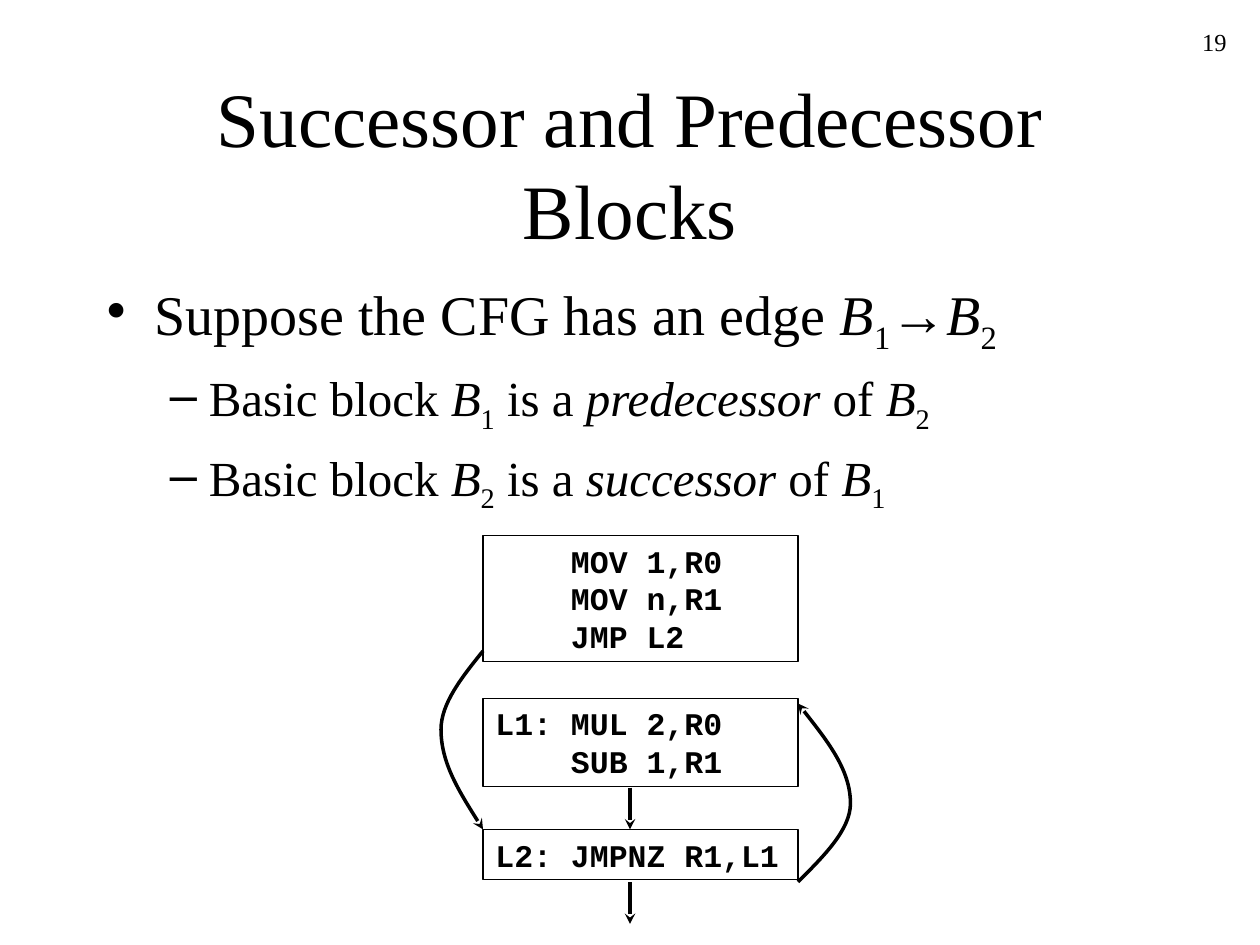
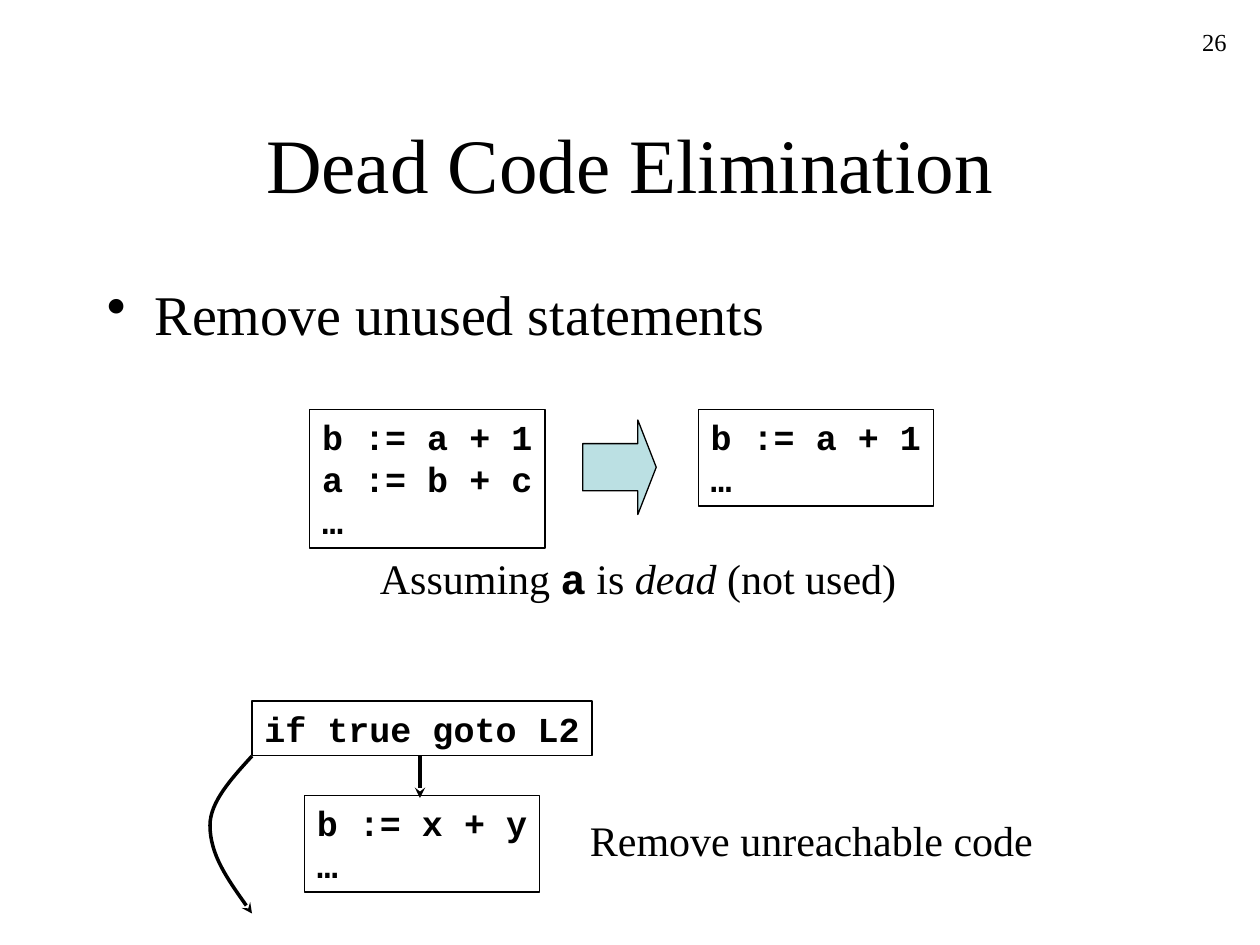
from lxml import etree
from pptx import Presentation
from pptx import util as u
from pptx.dml.color import RGBColor
from pptx.enum import shapes, text
from pptx.oxml.ns import qn

HUES = {"ink": "000000", "paper": "FFFFFF", "block": "BBE0E3"}
SERIF, MONO, SANS = "Times New Roman", "Courier New", "Arial"
LEFT, MID, RIGHT = text.PP_ALIGN.LEFT, text.PP_ALIGN.CENTER, text.PP_ALIGN.RIGHT
BODY = [  # bullet, size, space before, left indent, hanging indent
    ("•", 32, 8, 0.38, 0.38),
    ("–", 28, 7, 0.81, 0.31),
]

deck = Presentation()
deck.slide_width, deck.slide_height = u.Inches(10), u.Inches(7.5)
CELL = deck.slide_width / 240  # the slide is a grid of 240 columns by 180 rows


def grid(*cells):
    return [round(c * CELL) for c in cells]


def say(frame, words, size, font=SERIF, bold=False, align=LEFT, wrap=True,
        anchor=text.MSO_ANCHOR.TOP, mark=None, before=0, left=0, hang=0, line=None):
    """Add one paragraph per line; "|" starts a run and the letter after it
    sets its style: n normal, i italic, s subscript, c code, a arrow."""
    frame.word_wrap, frame.vertical_anchor = wrap, anchor
    frame.auto_size = text.MSO_AUTO_SIZE.NONE
    for row in words.split("\n"):
        par = frame.paragraphs[0] if not frame.text else frame.add_paragraph()
        par.alignment, par.space_before = align, u.Pt(before)
        if line:
            par.line_spacing = u.Pt(line)
        props = par._p.get_or_add_pPr()
        props.set("marL", str(u.Inches(left)))
        props.set("indent", str(-u.Inches(hang)))
        if mark:
            etree.SubElement(props, qn("a:buChar")).set("char", mark)
        for part in ("n" + row).split("|"):
            style = part[0]
            run = par.add_run()
            run.text = part[1:]
            face = run.font
            face.name = {"c": MONO, "a": SANS}.get(style, font)
            face.size, face.bold = u.Pt(size), bold or style == "c"
            face.italic = style == "i"
            face.color.rgb = RGBColor.from_string(HUES["ink"])
            if style == "s":
                run._r.get_or_add_rPr().set("baseline", "-25000")


pages = [
    {
        "num": "19",
        "title": "Successor and Predecessor Blocks",
        "body": [
            (0, "Suppose the CFG has an edge |iB|s1|a→|iB|s2"),
            (1, "Basic block |iB|s1|n is a |ipredecessor|n of |iB|s2"),
            (1, "Basic block |iB|s2|n is a |isuccessor|n of |iB|s1"),
        ],
        "size": 18,
        "code": [  # column, row, width, lines; unlabelled lines are indented
            (92, 102, 60, ["MOV 1,R0", "MOV n,R1", "JMP L2"]),
            (92, 133, 60, ["L1: MUL 2,R0", "SUB 1,R1"]),
            (92, 158, 60, ["L2: JMPNZ R1,L1"]),
        ],
        "label": 0.6,
        "notes": [],
        "bends": [(92, 124, 158, -8), (152, 168, 134, 10)],  # column, rows, bulge
        "drops": [(120, 150), (120, 168)],
    },
    {
        "num": "26",
        "title": "Dead Code Elimination",
        "body": [(0, "Remove unused statements")],
        "size": 20,
        "code": [
            (59, 78, 44.8, ["b := a + 1", "a := b + c", "…"]),
            (133, 78, 44.8, ["b := a + 1", "…"]),
            (58, 151.5, 44.8, ["b := x + y", "…"]),
            (48, 133.5, 64.8, ["if true goto L2"]),
        ],
        "label": 0,
        "notes": [
            (70, 104, 103, "Assuming |ca|n is |idead|n (not used)"),
            (110, 154, 89, "Remove unreachable code"),
        ],
        "bends": [(48, 144, 174, -8)],
        "drops": [(80, 144)],
    },
]

for page in pages:
    slide = deck.slides.add_slide(deck.slide_layouts[5])
    slide.background.fill.solid()
    slide.background.fill.fore_color.rgb = RGBColor.from_string(HUES["paper"])
    pool = slide.shapes

    head = pool.title
    head.left, head.top, head.width, head.height = grid(18, 16, 204, 30)
    say(head.text_frame, page["title"], 44, align=MID, anchor=text.MSO_ANCHOR.MIDDLE)

    body = pool.add_textbox(*grid(18, 52, 204, 108))
    for level, words in page["body"]:
        mark, size, before, left, hang = BODY[level]
        say(body.text_frame, words, size, mark=mark, before=before, left=left, hang=hang)

    size, label = page["size"], page["label"]
    for col, row, wide, lines in page["code"]:
        tall = 2.4 + 0.4 * size * len(lines)
        box = pool.add_shape(shapes.MSO_SHAPE.RECTANGLE, *grid(col, row, wide, tall))
        box.shadow.inherit = False
        box.fill.background()
        box.line.color.rgb = RGBColor.from_string(HUES["ink"])
        box.line.width = u.Pt(0.75)
        for words in lines:
            hang = label if words.startswith("L") else 0
            say(box.text_frame, words, size, font=MONO, bold=True, wrap=label > 0,
                left=label, hang=hang, line=1.2 * size)

    for col, row, wide, words in page["notes"]:
        note = pool.add_textbox(*grid(col, row, wide, 12))
        say(note.text_frame, words, 24, wrap=False)

    arrows = []
    for col, start, end, bulge in page["bends"]:
        far, turn = col + bulge, start + 0.44 * (end - start)
        near = col + bulge / 2
        up, down = (turn - start) / 3, (end - turn) / 3
        points = [(near, start + up), (far, turn - up), (far, turn),
                  (far, turn + down), (near, end - down), (col, end)]
        pen = pool.build_freeform(*grid(col, start), scale=1.0)
        pen.add_line_segments([grid(*p) for p in points], close=False)
        bend = pen.convert_to_shape()
        bend.fill.background()
        legs = bend._element.xpath(".//a:lnTo")
        for trio in (legs[:3], legs[3:]):
            curve = etree.Element(qn("a:cubicBezTo"))
            trio[0].addprevious(curve)
            for leg in trio:
                curve.append(leg[0])
                leg.getparent().remove(leg)
        arrows.append(bend)
    for col, row in page["drops"]:
        ends = grid(col, row, col, row + 8)
        arrows.append(pool.add_connector(shapes.MSO_CONNECTOR.STRAIGHT, *ends))
    for arrow in arrows:
        arrow.line.color.rgb = RGBColor.from_string(HUES["ink"])
        arrow.line.width = u.Pt(2)
        stroke = arrow.line._get_or_add_ln()
        etree.SubElement(stroke, qn("a:tailEnd")).set("type", "stealth")
        etree.SubElement(arrow._element.spPr, qn("a:effectLst"))

    num = pool.add_textbox(*grid(186, 4, 50, 12))
    say(num.text_frame, page["num"], 14, align=RIGHT)

# The block arrow between the code before and after, on the last slide
step = pool.add_shape(shapes.MSO_SHAPE.RIGHT_ARROW, *grid(111, 80, 14, 18))
step.adjustments[0], step.adjustments[1] = 0.5, 0.25
step.shadow.inherit = False
step.fill.solid()
step.fill.fore_color.rgb = RGBColor.from_string(HUES["block"])
step.line.color.rgb = RGBColor.from_string(HUES["ink"])
step.line.width = u.Pt(0.75)

deck.save("out.pptx")
